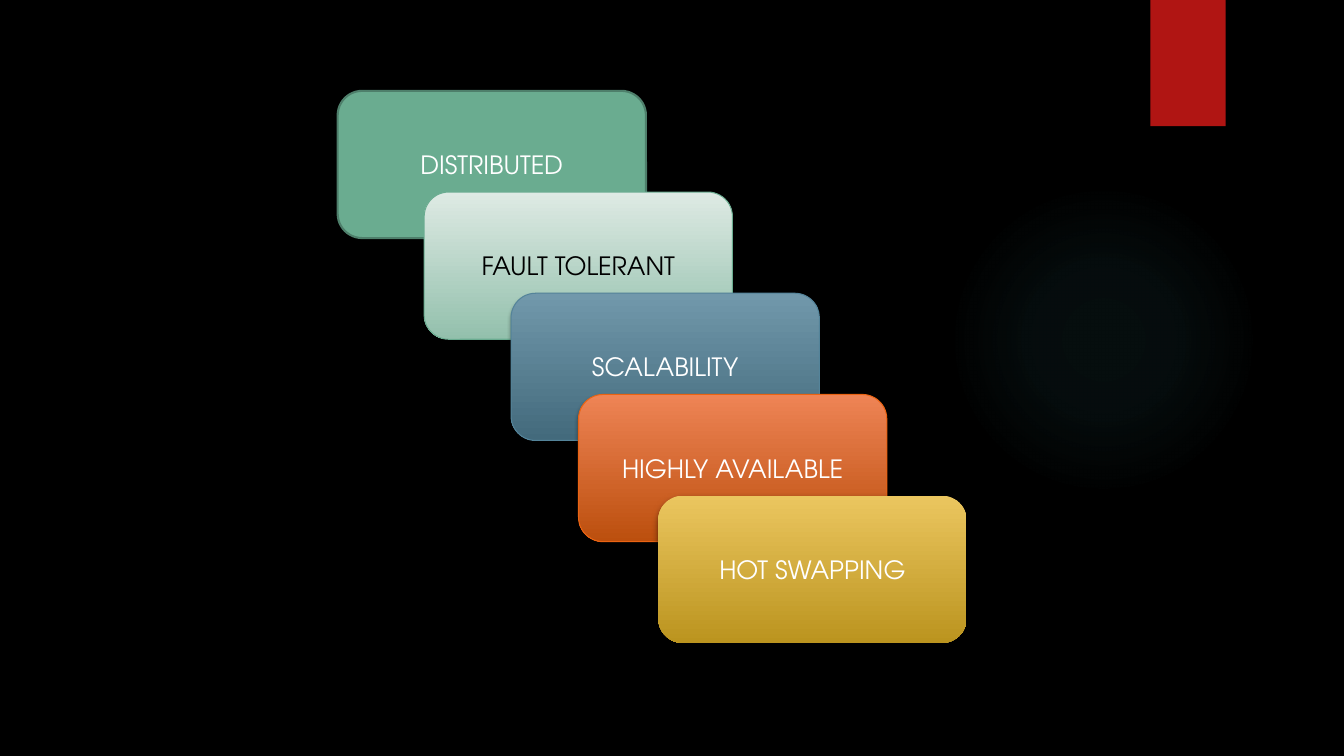
from pptx import Presentation
from pptx.dml.color import RGBColor
from pptx.enum.shapes import MSO_SHAPE
from pptx.enum.text import MSO_ANCHOR, PP_ALIGN
from pptx.oxml import parse_xml
from pptx.oxml.ns import nsdecls, qn
from pptx.util import Cm, Pt

OVAL = MSO_SHAPE.OVAL
RECTANGLE = MSO_SHAPE.RECTANGLE
ROUNDED = MSO_SHAPE.ROUNDED_RECTANGLE
MIDDLE = MSO_ANCHOR.MIDDLE
CENTER = PP_ALIGN.CENTER

BLACK = RGBColor(0x00, 0x00, 0x00)
WHITE = RGBColor(0xFF, 0xFF, 0xFF)
RED = RGBColor(0xB0, 0x15, 0x13)
TEAL = RGBColor(0x50, 0xB9, 0xC1)
GREEN = RGBColor(0x6A, 0xAC, 0x90)
DARK_GREEN = RGBColor(0x4E, 0x7F, 0x6B)
PALE_GREEN = RGBColor(0xDE, 0xEA, 0xE4)
SOFT_GREEN = RGBColor(0x93, 0xC0, 0xAC)
BLUE = RGBColor(0x54, 0x84, 0x9A)
LIGHT_BLUE = RGBColor(0x71, 0x98, 0xAB)
DARK_BLUE = RGBColor(0x43, 0x6A, 0x7C)
ORANGE = RGBColor(0xEA, 0x63, 0x12)
LIGHT_ORANGE = RGBColor(0xEE, 0x84, 0x55)
DARK_ORANGE = RGBColor(0xBC, 0x4F, 0x0E)
LIGHT_GOLD = RGBColor(0xEB, 0xC6, 0x5F)
DARK_GOLD = RGBColor(0xBB, 0x94, 0x1F)

FONT = "TeX Gyre Adventor"
CARD_WIDTH, CARD_HEIGHT = 7.77, 3.71
FIRST_TOP, TOP_STEP = 2.29, 2.55
SMALL_SHADOW = (45, 3, 2)
LARGE_SHADOW = (60, 5, 3)
GLOW_STOPS = ((0, 7), (36, 6), (69, 0))

# Left, label, text colour, fill colours, line colour, line width, shadow
CARDS = (
    (8.51, "DISTRIBUTED", WHITE, (GREEN,), DARK_GREEN, 1.5, None),
    (10.69, "FAULT TOLERANT", BLACK, (PALE_GREEN, SOFT_GREEN), GREEN, 0.75, None),
    (12.88, "SCALABILITY", WHITE, (LIGHT_BLUE, DARK_BLUE), BLUE, 0.75, SMALL_SHADOW),
    (14.58, "HIGHLY AVAILABLE", WHITE, (LIGHT_ORANGE, DARK_ORANGE), ORANGE, 0.75, SMALL_SHADOW),
    (16.59, "HOT SWAPPING", WHITE, (LIGHT_GOLD, DARK_GOLD), None, 0, LARGE_SHADOW),
)


def add_plain_shape(slide, kind, left, top, width, height):
    """Add a preset shape without outline or shadow."""
    shape = slide.shapes.add_shape(kind, Cm(left), Cm(top), Cm(width), Cm(height))
    shape.shadow.inherit = False
    shape.line.fill.background()
    return shape


def set_fill(shape, colors):
    """Fill with one colour, or with two running from top to bottom."""
    if len(colors) == 1:
        shape.fill.solid()
        shape.fill.fore_color.rgb = colors[0]
        return
    shape.fill.gradient()
    shape.fill.gradient_angle = 270
    for stop, color in zip(shape.fill.gradient_stops, colors):
        stop.color.rgb = color


def set_shadow(shape, opacity, blur, distance):
    """Drop a black shadow straight down."""
    effects = shape._element.spPr.find(qn("a:effectLst"))
    effects.append(parse_xml(
        f'<a:outerShdw {nsdecls("a")} blurRad="{Pt(blur)}" dist="{Pt(distance)}" '
        f'dir="5400000" rotWithShape="0"><a:srgbClr val="{BLACK}">'
        f'<a:alpha val="{opacity * 1000}"/></a:srgbClr></a:outerShdw>'))


def add_glow(slide):
    """Add the faint round glow on the right."""
    glow = add_plain_shape(slide, OVAL, 23.9, 4.65, 7.82, 7.82)
    stops = "".join(
        f'<a:gs pos="{position * 1000}"><a:srgbClr val="{TEAL}">'
        f'<a:alpha val="{opacity * 1000}"/></a:srgbClr></a:gs>'
        for position, opacity in GLOW_STOPS)
    gradient = parse_xml(
        f'<a:gradFill {nsdecls("a")}><a:gsLst>{stops}</a:gsLst><a:path path="circle">'
        '<a:fillToRect l="50000" t="50000" r="50000" b="50000"/></a:path></a:gradFill>')
    glow._element.spPr.find(qn("a:prstGeom")).addnext(gradient)


def add_ribbon(slide):
    """Add the red ribbon at the top edge."""
    ribbon = add_plain_shape(slide, RECTANGLE, 28.99, 0, 1.9, 3.18)
    set_fill(ribbon, (RED,))
    set_shadow(ribbon, *SMALL_SHADOW)


def add_card(slide, left, top, label, text_color, fill_colors, line_color, line_width, shadow):
    """Add one labelled card of the cascade."""
    card = add_plain_shape(slide, ROUNDED, left, top, CARD_WIDTH, CARD_HEIGHT)
    set_fill(card, fill_colors)
    if line_color is not None:
        card.line.color.rgb = line_color
        card.line.width = Pt(line_width)
    if shadow:
        set_shadow(card, *shadow)
    card.text_frame.vertical_anchor = MIDDLE
    paragraph = card.text_frame.paragraphs[0]
    paragraph.text = label
    paragraph.alignment = CENTER
    paragraph.font.name = FONT
    paragraph.font.size = Pt(18)
    paragraph.font.color.rgb = text_color


def main():
    """Build the slide and save it."""
    presentation = Presentation()
    presentation.slide_width = Cm(33.87)
    presentation.slide_height = Cm(19.05)
    slide = presentation.slides.add_slide(presentation.slide_layouts[6])
    slide.background.fill.solid()
    slide.background.fill.fore_color.rgb = BLACK
    add_glow(slide)
    add_ribbon(slide)
    for index, (left, *details) in enumerate(CARDS):
        add_card(slide, left, FIRST_TOP + index * TOP_STEP, *details)
    presentation.save("out.pptx")


if __name__ == "__main__":
    main()
